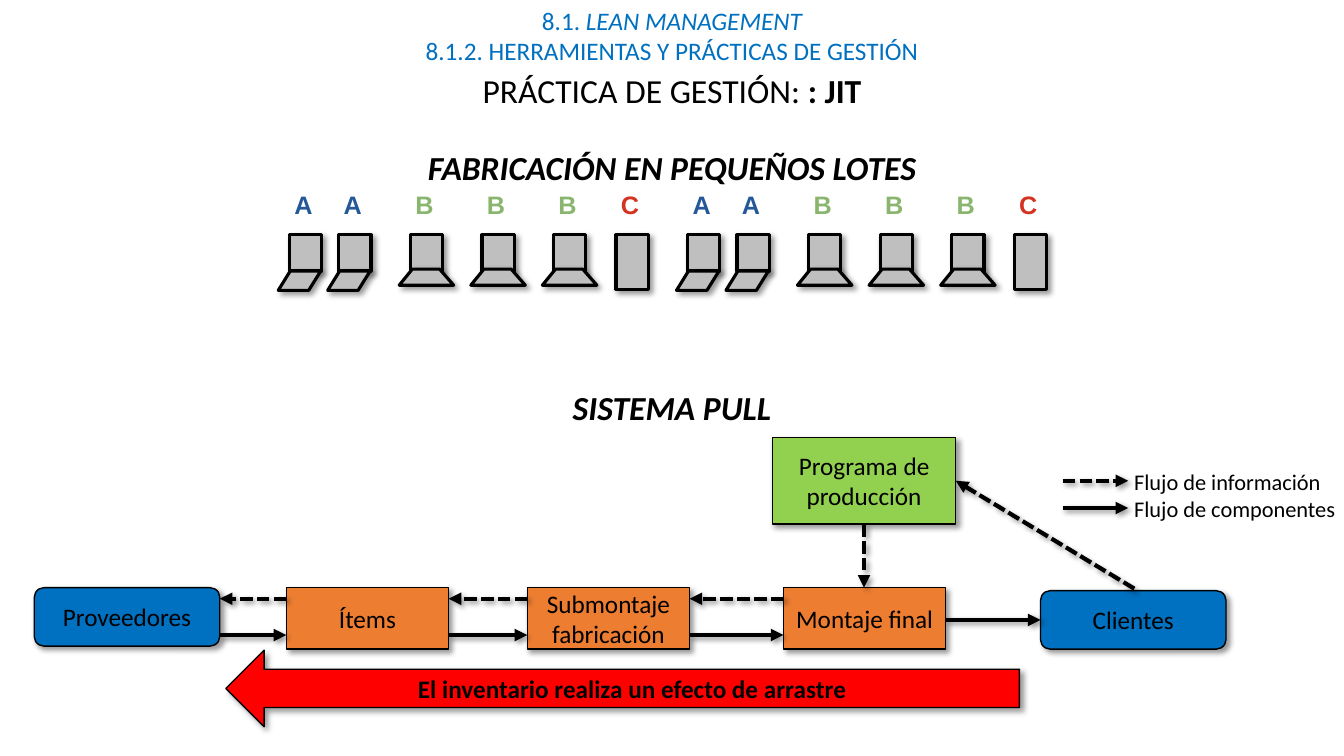
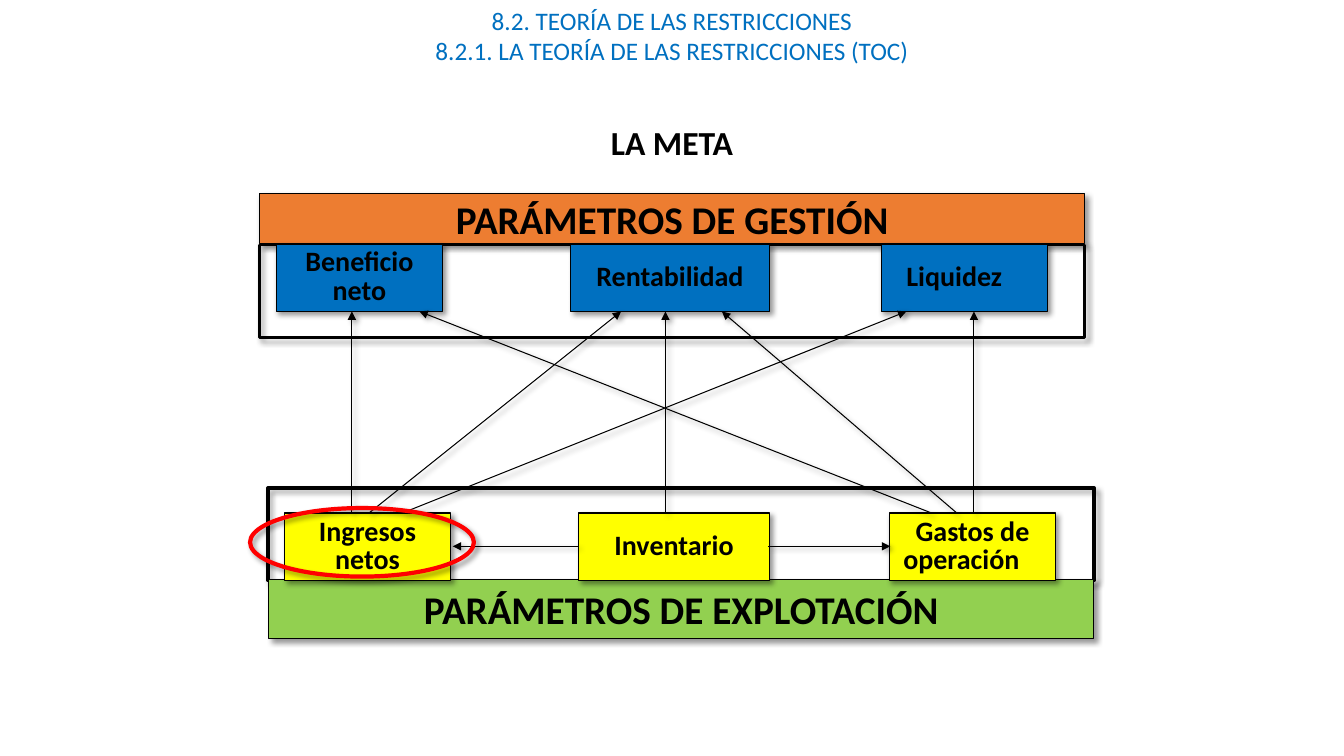
import itertools

import lxml.etree
import pptx
import pptx.dml.color
import pptx.enum.dml
import pptx.enum.shapes
import pptx.enum.text
import pptx.oxml
import pptx.oxml.ns
import pptx.util

RGB = pptx.dml.color.RGBColor
KIND = pptx.enum.shapes.MSO_SHAPE
ALIGN = pptx.enum.text.PP_ALIGN
ANCHOR = pptx.enum.text.MSO_ANCHOR

PX = 9144
WIDE, HIGH = 1333, 750
BLACK = RGB(0, 0, 0)
BLUE = RGB(0, 112, 192)
ORANGE = RGB(237, 125, 49)
GREEN = RGB(146, 208, 80)
YELLOW = RGB(255, 255, 0)
RED = RGB(255, 0, 0)
GREY = RGB(191, 191, 191)
TINTS = {"A": RGB(37, 88, 152), "B": RGB(137, 181, 110), "C": RGB(211, 51, 32)}
SHADE = (
    f'<a:effectLst {pptx.oxml.ns.nsdecls("a")}>'
    '<a:outerShdw blurRad="50800" dist="38100" dir="2700000" algn="tl" rotWithShape="0">'
    '<a:prstClr val="black"><a:alpha val="40000"/></a:prstClr>'
    '</a:outerShdw></a:effectLst>'
)


def px(*sizes):
    """Turn px lengths into EMU."""
    return [round(size * PX) for size in sizes]


def shade(shape):
    """Give a shape or connector the shared soft shadow."""
    shape._element.spPr.append(pptx.oxml.parse_xml(SHADE))


def paint(shape, fill, line, weight):
    """Set fill, outline and shadow of a shape."""
    if fill is None:
        shape.fill.background()
    else:
        shape.fill.solid()
        shape.fill.fore_color.rgb = fill
    shape.line.color.rgb = line
    shape.line.width = pptx.util.Pt(weight)
    shape.shadow.inherit = False
    effect = shape._element.spPr.find(pptx.oxml.ns.qn("a:effectLst"))
    effect.getparent().remove(effect)
    shade(shape)


def write(frame, lines, size, color=BLACK, align=ALIGN.CENTER, font="Calibri", space=None):
    """Fill a text frame; each line is a list of (text, style) runs."""
    for num, line in enumerate(lines):
        para = frame.add_paragraph() if num else frame.paragraphs[0]
        para.alignment = align
        if space:
            para.line_spacing = space
        for text, style in line:
            run = para.add_run()
            run.text = text
            run.font.name = font
            run.font.size = pptx.util.Pt(size)
            run.font.color.rgb = color
            run.font.bold = "b" in style
            run.font.italic = "i" in style


def label(slide, box, lines, size, wrap=True, **look):
    """Add a text box and return its frame."""
    frame = slide.shapes.add_textbox(*px(*box)).text_frame
    frame.word_wrap = wrap
    write(frame, lines, size, **look)
    return frame


def block(slide, box, fill, text="", kind=KIND.RECTANGLE, size=18, style="",
          line=BLACK, weight=1, space=None):
    """Add a preset shape with centred text."""
    shape = slide.shapes.add_shape(kind, *px(*box))
    paint(shape, fill, line, weight)
    if text:
        frame = shape.text_frame
        frame.word_wrap = True
        frame.vertical_anchor = ANCHOR.MIDDLE
        write(frame, [[(text, style)]], size, space=space)
    return shape


def arrow(slide, start, end, weight=3, dash=False):
    """Add a straight arrow from start to end."""
    link = slide.shapes.add_connector(
        pptx.enum.shapes.MSO_CONNECTOR.STRAIGHT, *px(*start, *end))
    link.line.color.rgb = BLACK
    link.line.width = pptx.util.Pt(weight)
    if dash:
        link.line.dash_style = pptx.enum.dml.MSO_LINE.SQUARE_DOT
    tail = lxml.etree.SubElement(link.line._ln, pptx.oxml.ns.qn("a:tailEnd"))
    tail.set("type", "triangle")
    shade(link)


def head(slide, *lines):
    """Write the two heading lines at the top of a slide."""
    for num, line in enumerate(lines):
        label(slide, (0, 30 * num, WIDE, 40), [line], 18, color=BLUE)


def piece(slide, x, y, name):
    """Draw one product with its letter above."""
    label(slide, (x - 5, y - 50, 38, 40), [[(name, "b")]], 18, wrap=False,
          color=TINTS[name], align=ALIGN.LEFT, font="Arial")
    block(slide, (x, y, 32, 54 if name == "C" else 36), GREY, weight=2.25)
    if name == "A":
        foot = block(slide, (x - 11, y + 36, 42, 19), GREY,
                     kind=KIND.PARALLELOGRAM, weight=2.25)
        foot.adjustments[0] = 0.62
    elif name == "B":
        path = slide.shapes.build_freeform(x - 11, y + 50, scale=PX)
        path.add_line_segments([(x + 2, y + 34), (x + 29, y + 34), (x + 43, y + 50)])
        paint(path.convert_to_shape(), GREY, BLACK, 2.25)


def lots(slide, x, y):
    """Draw two equal runs of small lots."""
    for batch in range(2):
        for name, left in zip("AABBBC", (0, 49, 120, 191, 262, 324)):
            piece(slide, x + 395 * batch + left, y, name)


def legend(slide, x, y):
    """Explain the two kinds of flow."""
    for drop, dash in ((0, True), (27, False)):
        arrow(slide, (x, y + drop), (x + 65, y + drop), dash=dash)
    label(slide, (x + 61, y - 17, 240, 64),
          [[("Flujo de información", "")], [("Flujo de componentes", "")]],
          16, align=ALIGN.LEFT)


def pull(slide, x, y):
    """Draw the pull system chain."""
    ends = KIND.ROUNDED_RECTANGLE
    block(slide, (x, y + 149, 184, 58), BLUE, "Proveedores", ends)
    block(slide, (x + 998, y + 152, 184, 58), BLUE, "Clientes", ends)
    block(slide, (x + 732, y, 182, 86), GREEN, "Programa de producción")
    spans = [(x, x + 184)]
    for left, name in ((250, "Ítems"), (489, "Submontaje fabricación"), (743, "Montaje final")):
        block(slide, (x + left, y + 149, 161, 61), ORANGE, name)
        spans.append((x + left, x + left + 161))
    for (_, back), (front, _) in itertools.pairwise(spans):
        arrow(slide, (front, y + 160), (back, y + 160), dash=True)
        arrow(slide, (back, y + 196), (front, y + 196))
    arrow(slide, (x + 904, y + 181), (x + 998, y + 181))
    arrow(slide, (x + 823, y + 86), (x + 823, y + 149), dash=True)
    arrow(slide, (x + 1091, y + 150), (x + 914, y + 43), dash=True)
    block(slide, (x + 190, y + 211, 787, 76), RED,
          "El inventario realiza un efecto de arrastre", KIND.LEFT_ARROW, style="b")


def panel(slide, box, title, bar, fill, weight, tiles, drop, tint):
    """Draw a frame with a title bar and a row of tiles."""
    x, y, wide, _ = box
    block(slide, box, None, weight=weight)
    block(slide, (x, y + bar[0], wide, bar[1]), fill, title, size=28, style="b", weight=0.75)
    return [block(slide, (x + left, y + drop, span, 67), tint, name, size=20,
                  style="b", space=0.85).text_frame
            for name, left, span in tiles]


def links(slide, x, y):
    """Draw the arrows that join both rows of tiles."""
    for low, top in ((0, 0), (17, 267), (50, 550), (311, 311), (617, 617), (600, 367), (575, 67)):
        arrow(slide, (x + low, y + 200), (x + top, y), 0.75)
    for start, end in ((225, 100), (413, 534)):
        arrow(slide, (x + start, y + 233), (x + end, y + 233), 0.75)


def jit(slide):
    """Build the slide on small lots and pull."""
    head(slide, [("8.1. ", ""), ("LEAN MANAGEMENT", "i")],
         [("8.1.2. HERRAMIENTAS Y PRÁCTICAS DE GESTIÓN", "")])
    frame = label(slide, (0, 69, WIDE, 108),
                  [[("PRÁCTICA DE GESTIÓN: ", ""), (": JIT", "b")]], 24, space=0.9)
    frame.paragraphs[0].space_before = pptx.util.Pt(10)
    for top, text in ((141, "FABRICACIÓN EN PEQUEÑOS LOTES"), (379, "SISTEMA PULL")):
        label(slide, (0, top, WIDE, 50), [[(text, "bi")]], 24)
    lots(slide, 287, 233)
    pull(slide, 34, 434)
    legend(slide, 1054, 477)


def goal(slide):
    """Build the slide on the goal."""
    head(slide, [("8.2. TEORÍA DE LAS RESTRICCIONES", "")],
         [("8.2.1. LA TEORÍA DE LAS RESTRICCIONES (TOC)", "")])
    label(slide, (0, 116, WIDE, 91), [[("LA META", "b")]], 24)
    upper = panel(slide, (257, 243, 819, 92), "PARÁMETROS DE GESTIÓN", (-51, 50), ORANGE, 2,
                  (("Beneficio neto", 17, 165), ("Rentabilidad", 309, 197),
                   ("Liquidez", 617, 165)), -1, BLUE)
    lower = panel(slide, (266, 484, 819, 92), "PARÁMETROS DE EXPLOTACIÓN", (91, 58), GREEN, 2.5,
                  (("Ingresos netos", 16, 165), ("Inventario", 308, 189),
                   ("Gastos de operación", 616, 165)), 25, YELLOW)
    upper[2].margin_right = 30 * PX
    lower[2].margin_left = 0
    lower[2].margin_right = 22 * PX
    lower[2].paragraphs[0]._p.get_or_add_pPr().set("indent", str(22 * PX))
    links(slide, 349, 309)
    block(slide, (248, 504, 222, 68), None, kind=KIND.OVAL, line=RED, weight=3)


def main():
    """Build and save the deck."""
    deck = pptx.Presentation()
    deck.slide_width, deck.slide_height = px(WIDE, HIGH)
    for build in (jit, goal):
        build(deck.slides.add_slide(deck.slide_layouts[6]))
    deck.save("out.pptx")


if __name__ == "__main__":
    main()
